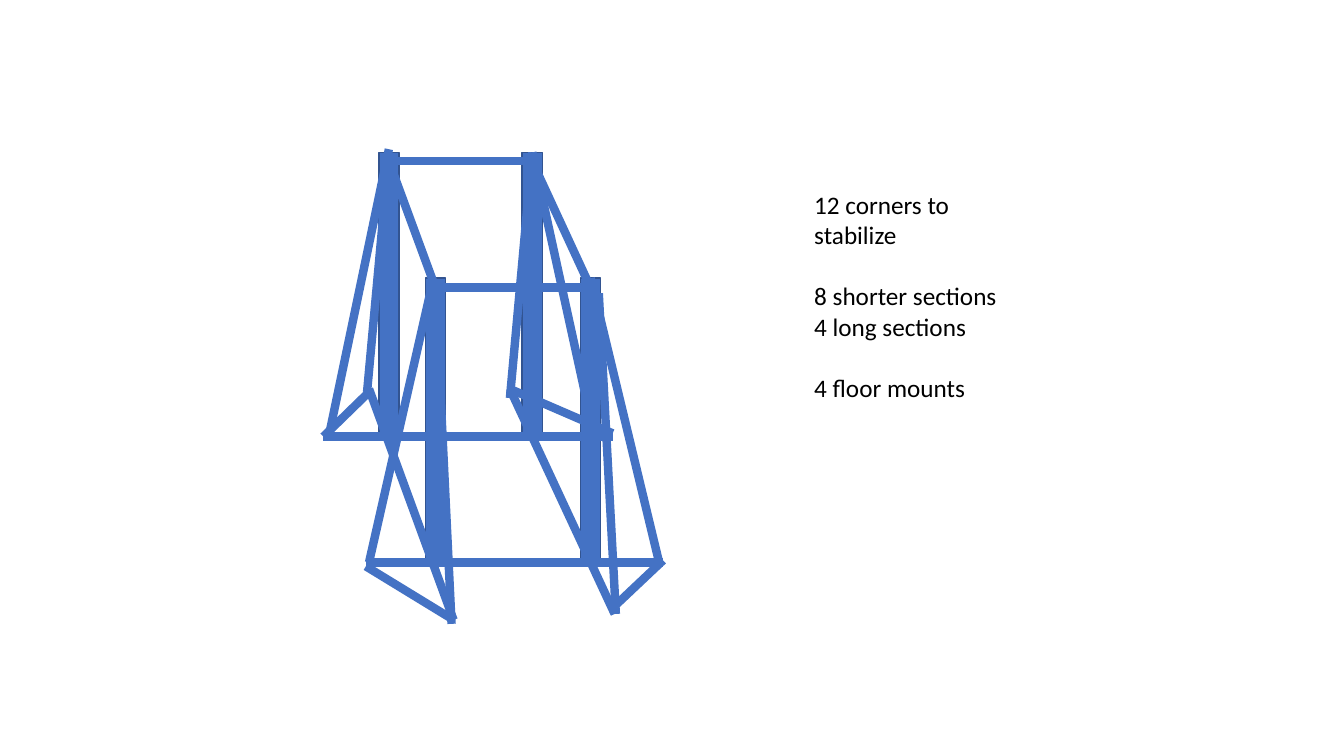
from lxml.etree import SubElement
from pptx import Presentation
from pptx.dml.color import RGBColor
from pptx.enum.shapes import MSO_CONNECTOR as Connector, MSO_SHAPE as Shape
from pptx.oxml.ns import qn
from pptx.util import Cm, Pt

# Content: lengths in centimetres
COLORS = {"steel": "4472C4", "edge": "325491", "text": "000000"}
POST_WIDTH, POST_HEIGHT = 0.51, 7.19
POSTS = {
    "back left": (9.55, 3.84),
    "front left": (10.72, 7.01),
    "front right": (14.63, 7.01),
    "back right": (13.16, 3.84),
}

# The four joints of the top frame, in drawing order
TOP_FRAME = [(9.80, 4.06), (10.97, 7.24), (14.88, 7.24), (13.41, 4.06)]
FLOOR_BEAMS = [
    ((9.30, 9.80), (11.43, 15.62)),
    ((9.22, 14.17), (16.71, 14.17)),
    ((8.15, 11.00), (15.44, 11.00)),
    ((12.85, 9.80), (15.49, 15.47)),
]
FLOOR_TIES = [
    ((8.15, 11.00), (9.30, 9.88)),
    ((9.22, 14.27), (11.43, 15.62)),
    ((15.44, 15.32), (16.71, 14.12)),
    ((12.85, 9.80), (15.44, 10.92)),
]
# A brace ends at a point, or at the top of the named post
BRACES = [
    ((9.25, 9.88), "back left"),
    ((9.30, 14.17), (10.92, 7.04)),
    ((11.38, 15.72), (10.97, 7.19)),
    ((8.28, 11.02), (9.80, 3.76)),
    ((15.52, 15.47), (15.09, 7.39)),
    ((16.61, 14.17), "front right"),
    ((12.85, 10.03), "back right"),
    ((14.96, 10.90), "back right"),
]
# Each note with the space before it in points
NOTES = [
    ("12 corners to stabilize", 0),
    ("8 shorter sections", 22),
    ("4 long sections", 0),
    ("4 floor mounts", 22),
]


def color(name):
    return RGBColor.from_string(COLORS[name])


def add_post(page, left, top):
    post = page.shapes.add_shape(
        Shape.RECTANGLE, Cm(left), Cm(top), Cm(POST_WIDTH), Cm(POST_HEIGHT))
    post.shadow.inherit = False
    post.fill.solid()
    post.fill.fore_color.rgb = color("steel")
    post.line.color.rgb = color("edge")
    post.line.width = Pt(1)
    return post


def add_bar(page, start, end, posts):
    joined = posts.get(end)
    end_point = start if joined else end
    bar = page.shapes.add_connector(
        Connector.STRAIGHT, *map(Cm, start), *map(Cm, end_point))
    if joined:
        bar.end_connect(joined, 0)
    bar.line.color.rgb = color("steel")
    bar.line.width = Pt(6)
    SubElement(bar.element.spPr, qn("a:effectLst"))


def add_notes(page):
    box = page.shapes.add_textbox(Cm(20.27), Cm(4.65), Cm(5.92), Cm(5.64))
    frame = box.text_frame
    frame.word_wrap = True
    frame.text = "\n".join(text for text, _ in NOTES)
    for para, (_, gap) in zip(frame.paragraphs, NOTES):
        para.space_before = Pt(gap)
        for span in para.runs:
            span.font.name = "Calibri"
            span.font.size = Pt(18)
            span.font.color.rgb = color("text")


def main():
    deck = Presentation()
    deck.slide_width, deck.slide_height = Cm(33.87), Cm(19.05)
    page = deck.slides.add_slide(deck.slide_layouts[6])

    # Upright posts
    posts = {name: add_post(page, *corner) for name, corner in POSTS.items()}

    # Frames, floor ties and braces
    top_beams = list(zip(TOP_FRAME, TOP_FRAME[1:] + TOP_FRAME[:1]))
    for start, end in FLOOR_BEAMS + top_beams + FLOOR_TIES + BRACES:
        add_bar(page, start, end, posts)

    # Parts list
    add_notes(page)
    deck.save("out.pptx")


if __name__ == "__main__":
    main()
